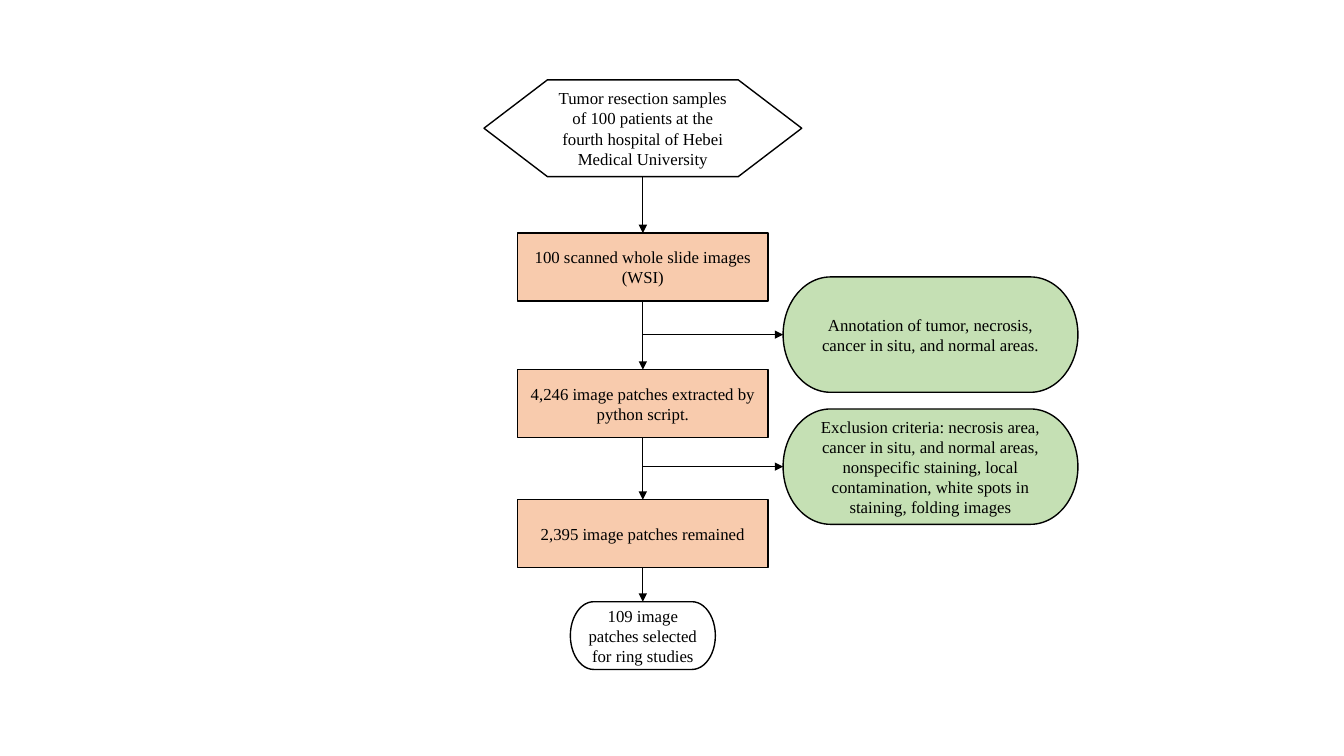
from lxml import etree
from pptx import Presentation
from pptx.dml.color import RGBColor
from pptx.enum import shapes, text
from pptx.oxml import ns
from pptx.util import Pt

BLACK = RGBColor(0x00, 0x00, 0x00)
ORANGE = RGBColor(0xF8, 0xCB, 0xAD)
GREEN = RGBColor(0xC5, 0xE0, 0xB4)

PREPARATION = shapes.MSO_SHAPE.FLOWCHART_PREPARATION
PROCESS = shapes.MSO_SHAPE.FLOWCHART_PROCESS
TERMINATOR = shapes.MSO_SHAPE.FLOWCHART_TERMINATOR
TOP, LEFT, BOTTOM = 0, 1, 2

AXIS = 459.2
SIDE_LEFT = 559.4
SIDE_WIDTH, SIDE_HEIGHT = 210.6, 82.4

STEPS = [
    (PREPARATION, 57, 227, 69.2, None,
     "Tumor resection samples of 100 patients at the fourth hospital of Hebei Medical University"),
    (PROCESS, 166.5, 179, 48.4, ORANGE, "100 scanned whole slide images (WSI)"),
    (PROCESS, 264, 179, 48.4, ORANGE, "4,246 image patches extracted by python script."),
    (PROCESS, 357, 179, 48.4, ORANGE, "2,395 image patches remained"),
    (TERMINATOR, 429.8, 103.6, 48.4, None, "109 image patches selected for ring studies"),
]
SIDE_NOTES = [
    (239, "Annotation of tumor, necrosis, cancer in situ, and normal areas."),
    (333.3, "Exclusion criteria: necrosis area, cancer in situ, and normal areas, "
            "nonspecific staining, local contamination, white spots in staining, folding images"),
]


def write(sp, content, font="Times New Roman", size=12, color=BLACK,
          align=text.PP_ALIGN.CENTER, anchor=text.MSO_ANCHOR.MIDDLE):
    tf = sp.text_frame
    tf.word_wrap = True
    tf.vertical_anchor = anchor
    p = tf.paragraphs[0]
    p.alignment = align
    r = p.add_run()
    r.text = content
    r.font.name = font
    r.font.size = Pt(size)
    r.font.color.rgb = color


def add_node(s, kind, left, top, width, height, fill, content):
    sp = s.shapes.add_shape(kind, Pt(left), Pt(top), Pt(width), Pt(height))
    sp.shadow.inherit = False
    if fill is None:
        sp.fill.background()
    else:
        sp.fill.solid()
        sp.fill.fore_color.rgb = fill
    sp.line.color.rgb = BLACK
    sp.line.width = Pt(1)
    write(sp, content)
    return sp


def add_arrow(s, x, y, target, site, source=None):
    cxn = s.shapes.add_connector(shapes.MSO_CONNECTOR.STRAIGHT, Pt(x), Pt(y), Pt(x), Pt(y))
    if source is not None:
        cxn.begin_connect(source, BOTTOM)
    cxn.end_connect(target, site)
    cxn.line.color.rgb = BLACK
    cxn.line.width = Pt(0.75)
    etree.SubElement(cxn.line._get_or_add_ln(), ns.qn("a:tailEnd"), type="triangle")
    etree.SubElement(cxn._element.spPr, ns.qn("a:effectLst"))


def main():
    prs = Presentation()
    prs.slide_width, prs.slide_height = Pt(960), Pt(540)
    s = prs.slides.add_slide(prs.slide_layouts[6])

    nodes = [add_node(s, kind, AXIS - width / 2, top, width, height, fill, content)
             for kind, top, width, height, fill, content in STEPS]
    for source, target in zip(nodes, nodes[1:]):
        add_arrow(s, AXIS, 0, target, TOP, source)

    for middle, content in SIDE_NOTES:
        note = add_node(s, TERMINATOR, SIDE_LEFT, middle - SIDE_HEIGHT / 2,
                        SIDE_WIDTH, SIDE_HEIGHT, GREEN, content)
        add_arrow(s, AXIS, middle, note, LEFT)

    prs.save("out.pptx")


main()
